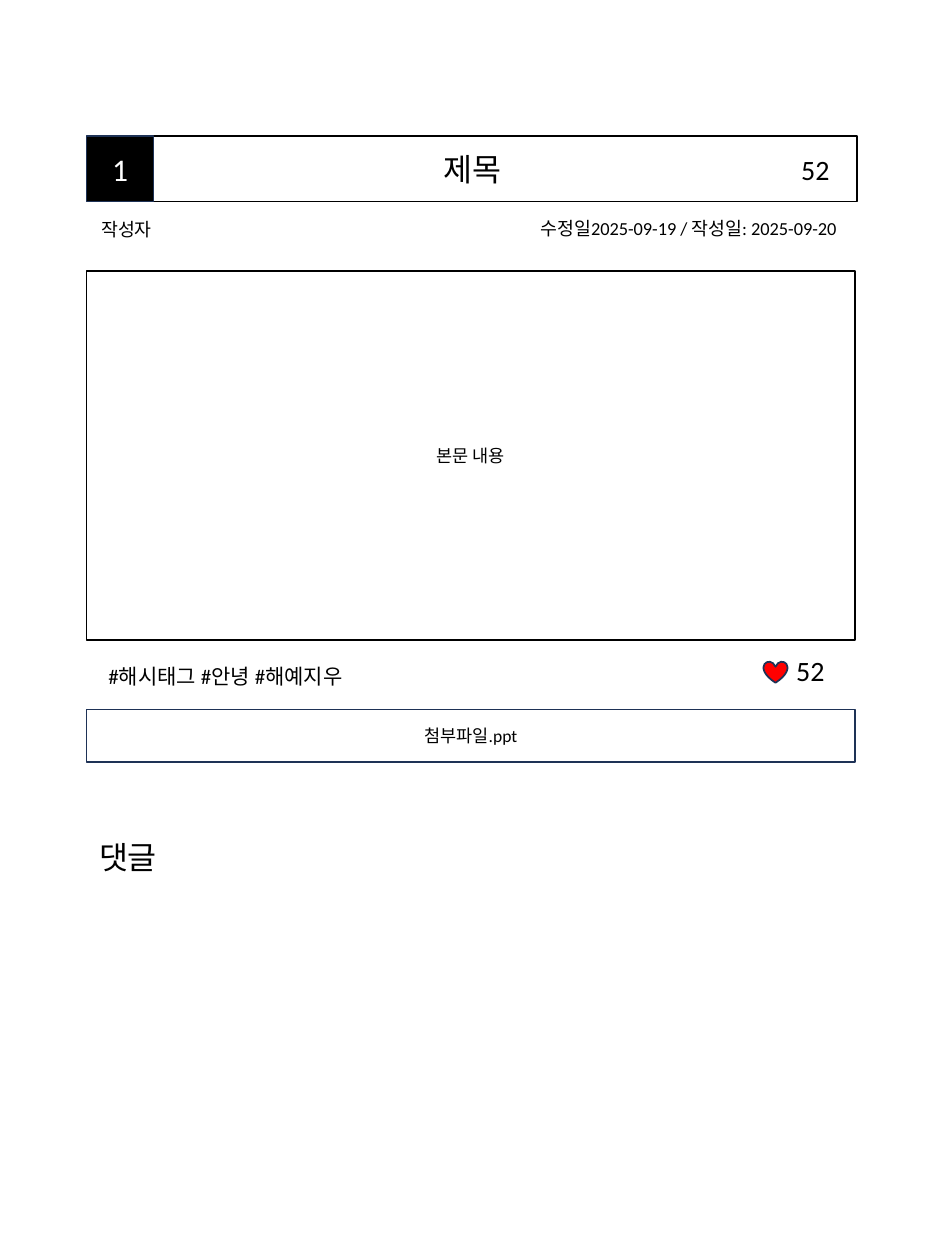
import pptx
import pptx.util
import pptx.dml.color
import pptx.enum.shapes
import pptx.enum.text

Pt = pptx.util.Pt
Rgb = pptx.dml.color.RGBColor.from_string
Kind = pptx.enum.shapes.MSO_SHAPE
Align = pptx.enum.text.PP_ALIGN
Anchor = pptx.enum.text.MSO_ANCHOR

theme = {
    "font": "Calibri",
    "ink": "000000",
    "paper": "FFFFFF",
    "navy": "1E3256",
    "heart": "FF0000",
    "title": 18,
    "count": 16,
    "tag": 12,
    "meta": 10.5,
    "body": 10,
}
ink, paper, navy = theme["ink"], theme["paper"], theme["navy"]

deck = pptx.Presentation()
deck.slide_width, deck.slide_height = Pt(540), Pt(720)
slide = deck.slides.add_slide(deck.slide_layouts[6])


def write(frame, text, size, color, align):
    frame.word_wrap = True
    para = frame.paragraphs[0]
    para.text = text
    para.alignment = align
    para.font.name = theme["font"]
    para.font.size = Pt(theme[size])
    para.font.color.rgb = Rgb(color)


def draw(kind, box, fill, line):
    shape = slide.shapes.add_shape(kind, *map(Pt, box))
    shape.shadow.inherit = False
    shape.fill.solid()
    shape.fill.fore_color.rgb = Rgb(fill)
    if line:
        shape.line.color.rgb = Rgb(line)
        shape.line.width = Pt(1)
    else:
        shape.line.fill.background()
    return shape


left, wide = 49.5, 439.2
inset = 27.5
boxes = [
    ("제목", (50.4, 77.8, wide, 37.4), paper, ink, "title", ink),
    ("52", (428.4, 81.4, 54.7, 30.2), paper, None, "count", ink),
    ("1", (left, 77.8, 38.2, 37.4), ink, navy, "title", paper),
    ("작성자", (42.5, 117.4, 59.8, 27.4), paper, None, "meta", ink),
    ("수정일2025-09-19 / 작성일: 2025-09-20",
     (297.4, 116.6, 192.2, 27.4), paper, None, "meta", ink),
    ("본문 내용", (left, 154.8, wide, 211), paper, ink, "body", ink),
    ("#해시태그 #안녕 #해예지우",
     (28.1, 376.6, 201.6, 19.4), paper, paper, "tag", ink),
    ("52", (425.5, 367.9, 54.7, 30.2), paper, None, "count", ink),
    ("첨부파일.ppt", (left, 405.4, wide, 30.2), paper, navy, "body", ink),
]

for text, box, fill, line, size, color in boxes:
    frame = draw(Kind.RECTANGLE, box, fill, line).text_frame
    frame.vertical_anchor = Anchor.MIDDLE
    if size == "count":
        frame.margin_left = Pt(inset)
    write(frame, text, size, color, Align.CENTER)

draw(Kind.HEART, (436.3, 378, 13.7, 12.2), theme["heart"], navy)

reply = slide.shapes.add_textbox(Pt(left), Pt(475.2), Pt(270), Pt(28.8))
write(reply.text_frame, "댓글", "title", ink, Align.LEFT)

deck.save("out.pptx")
